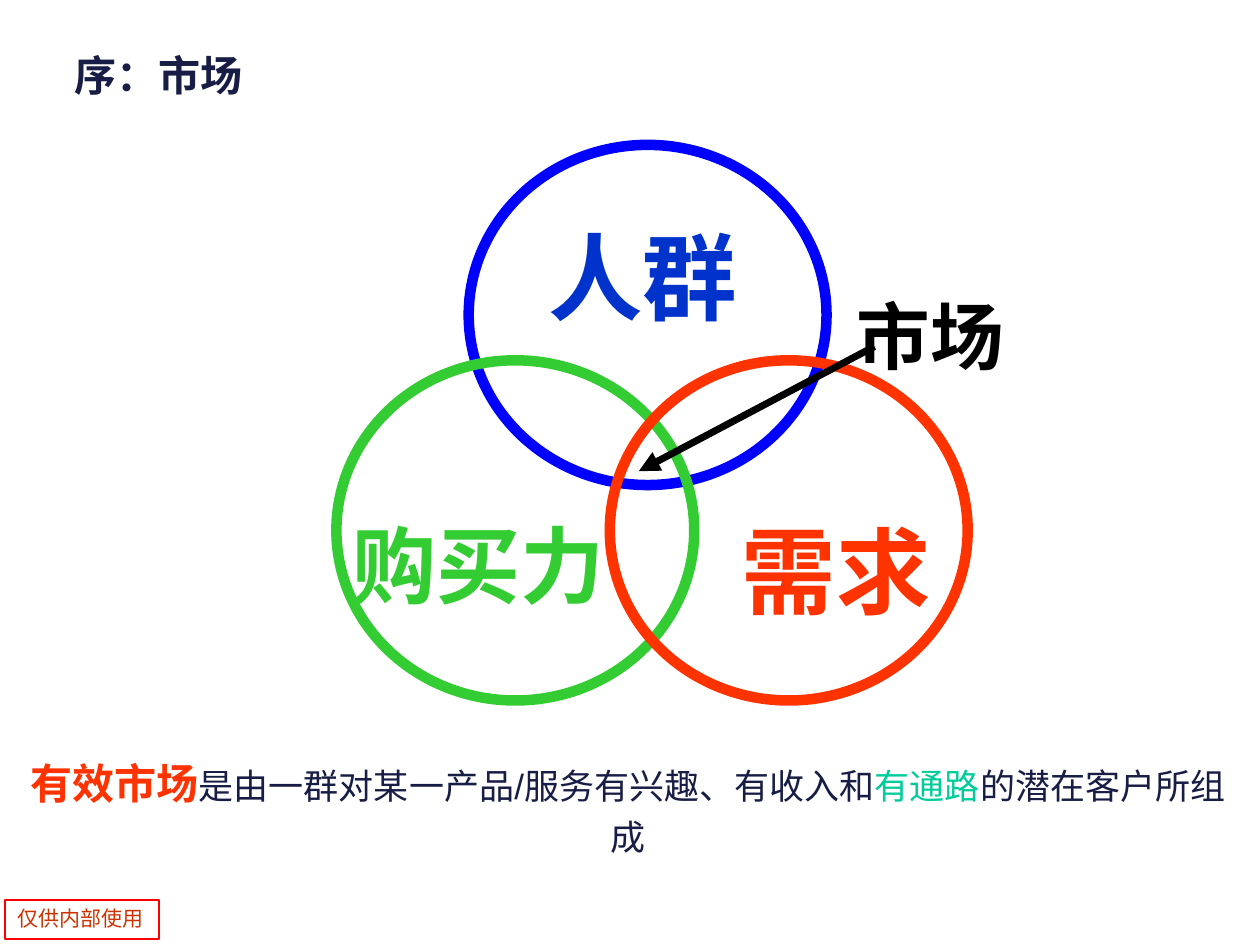
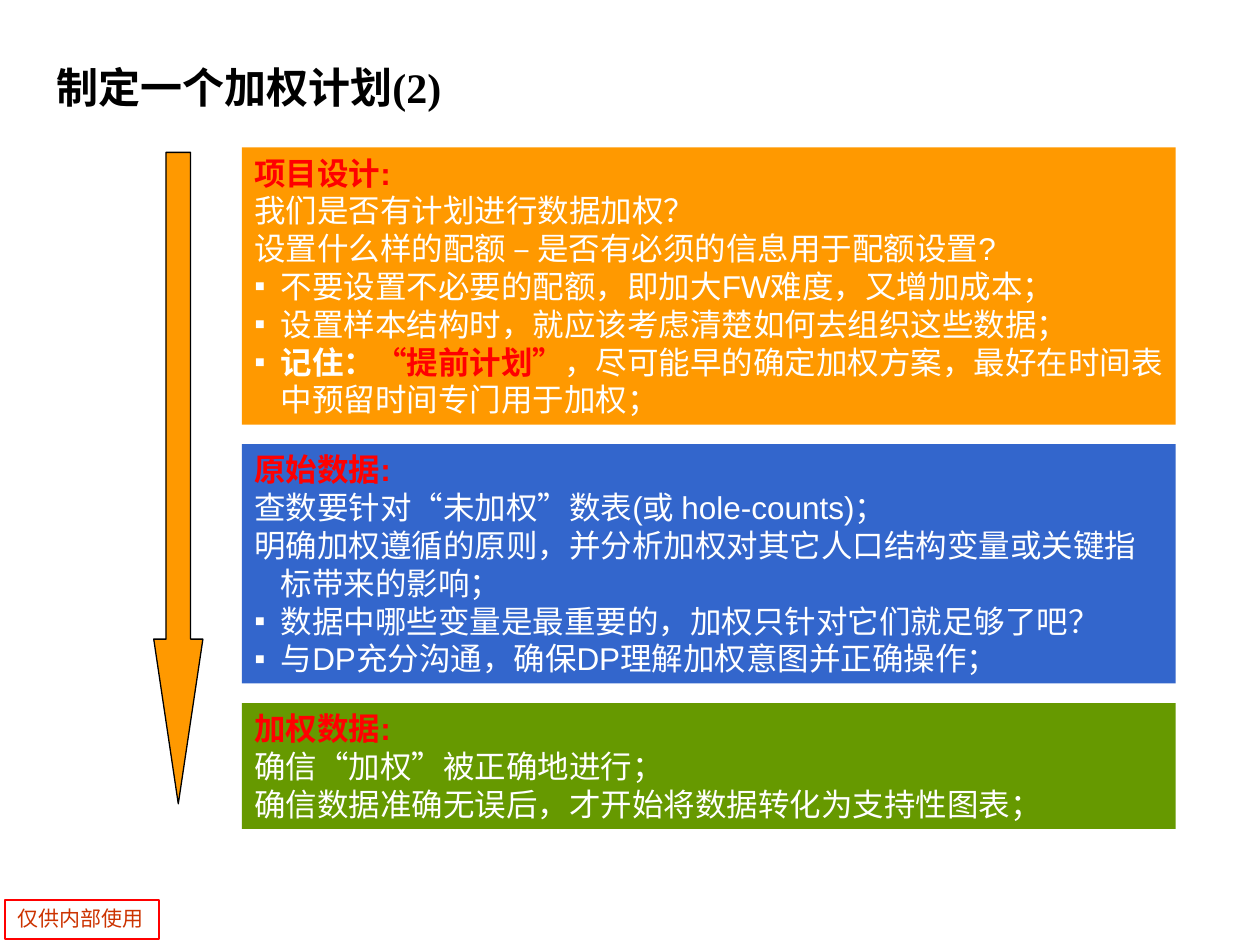
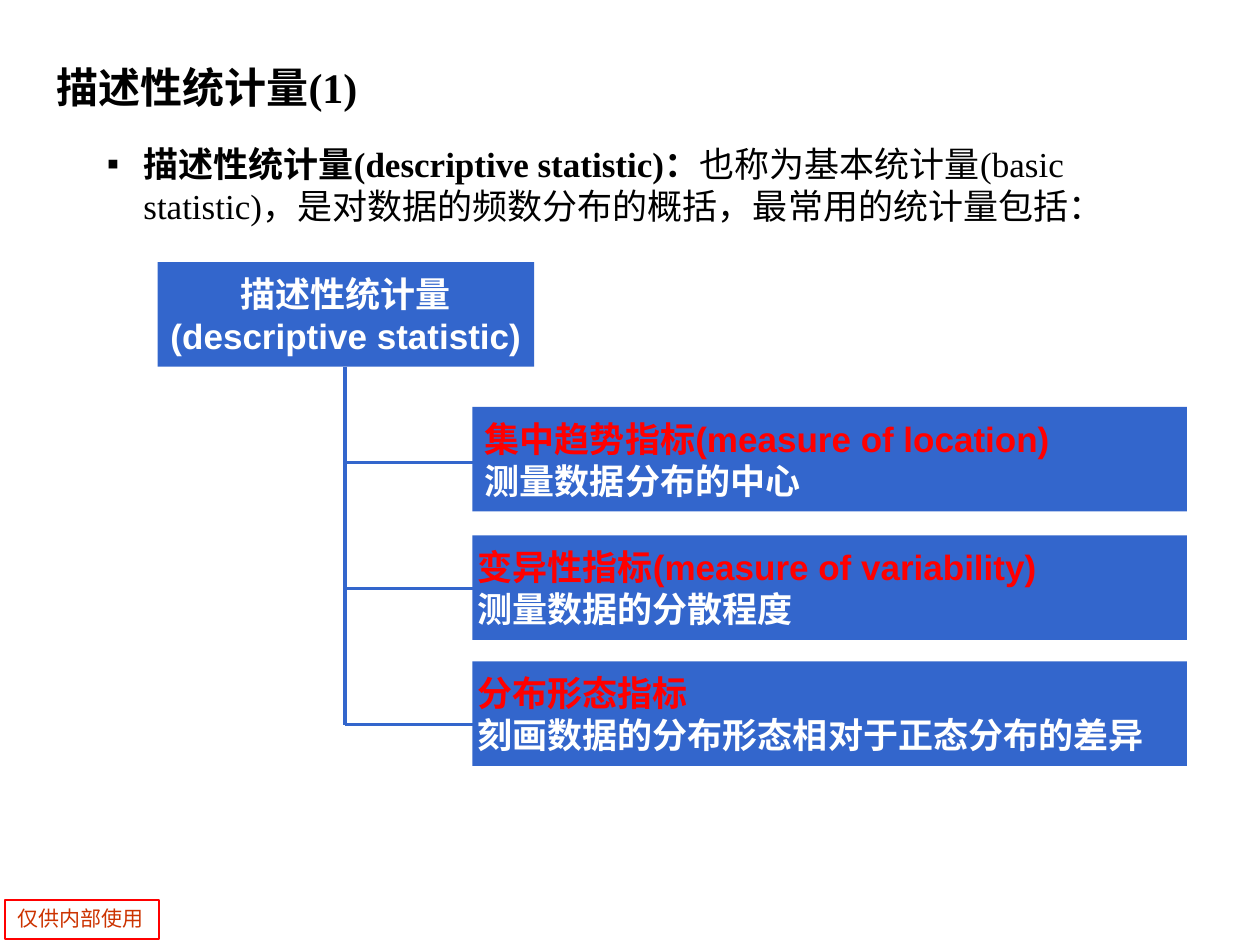
from pptx import Presentation
from pptx.dml.color import RGBColor
from pptx.enum.shapes import MSO_CONNECTOR, MSO_SHAPE
from pptx.enum.text import MSO_ANCHOR, MSO_AUTO_SIZE, PP_ALIGN
from pptx.oxml.ns import qn
from pptx.util import Inches, Pt
from lxml.etree import SubElement

# Slide grid: 100 columns by 75 rows
COLS, ROWS = 100, 75
WIDTH, HEIGHT = Inches(10), Inches(7.5)

BLACK, WHITE, NAVY = "000000", "FFFFFF", "171D45"
RED, VERMILION, BRICK = "FF0000", "FF3300", "CC3300"
BLUE, DEEP_BLUE, STEEL = "0000FF", "0033CC", "3366CC"
GREEN, LEAF, TEAL, ORANGE = "33CC33", "669900", "00CC99", "FF9900"
SANS, SERIF, CJK = "Arial", "Times New Roman", "Noto Sans CJK SC"


def rgb(hex_string):
    return RGBColor.from_string(hex_string)


def col(n):
    return round(WIDTH * n / COLS)


def row(n):
    return round(HEIGHT * n / ROWS)


def place(x, y, w, h):
    return col(x), row(y), col(w), row(h)


def set_attrs(obj, formats):
    for name, value in formats.items():
        setattr(obj, name, value)


def add_paragraph(p, runs, size, font, align=None, spacing=None, hang=0, bullet=False):
    """Fill a paragraph with (text, colour, bold) runs; a run may add its own size."""
    pPr = p._p.get_or_add_pPr()
    if hang:
        pPr.set("marL", str(Inches(hang)))
        pPr.set("indent", str(-Inches(hang)))
    if bullet:
        SubElement(pPr, qn("a:buFont")).set("typeface", SANS)
        SubElement(pPr, qn("a:buChar")).set("char", "▪")
    set_attrs(p, {"alignment": align, "line_spacing": spacing})
    for text, color, bold, *own_size in runs:
        r = p.add_run()
        r.text = text
        set_attrs(r.font, {"size": Pt(own_size[0] if own_size else size),
                           "name": font, "bold": bold})
        r.font.color.rgb = rgb(color)


def fill_text(sp, paragraphs, size, font=SANS, anchor=MSO_ANCHOR.TOP, wrap=True,
              grow=False, side=0.1, **layout):
    """Each paragraph is a list of runs; a leading "▪" makes it a bullet."""
    tf = sp.text_frame
    set_attrs(tf, {"word_wrap": wrap, "vertical_anchor": anchor,
                   "margin_left": Inches(side), "margin_right": Inches(side),
                   "auto_size": MSO_AUTO_SIZE.SHAPE_TO_FIT_TEXT if grow
                   else MSO_AUTO_SIZE.NONE})
    for i, runs in enumerate(paragraphs):
        p = tf.add_paragraph() if i else tf.paragraphs[0]
        bullet = runs[0] == "▪"
        add_paragraph(p, runs[1:] if bullet else runs, size, font, bullet=bullet, **layout)


def add_text(s, box, paragraphs, size, **options):
    fill_text(s.shapes.add_textbox(*place(*box)), paragraphs, size, **options)


def add_shape(s, kind, box, fill=None, line=None, weight=1):
    sp = s.shapes.add_shape(kind, *place(*box))
    sp.shadow.inherit = False
    if fill:
        sp.fill.solid()
        sp.fill.fore_color.rgb = rgb(fill)
    else:
        sp.fill.background()
    if line:
        sp.line.color.rgb = rgb(line)
        sp.line.width = Pt(weight)
    else:
        sp.line.fill.background()
    return sp


def add_line(s, x1, y1, x2, y2, color, weight, arrow=False):
    cx = s.shapes.add_connector(MSO_CONNECTOR.STRAIGHT, col(x1), row(y1), col(x2), row(y2))
    cx.line.color.rgb = rgb(color)
    cx.line.width = Pt(weight)
    if arrow:
        SubElement(cx.line._get_or_add_ln(), qn("a:tailEnd")).set("type", "triangle")
    SubElement(cx._element.spPr, qn("a:effectLst"))


def add_slide(prs):
    s = prs.slides.add_slide(prs.slide_layouts[6])
    # Confidentiality stamp
    stamp = add_shape(s, MSO_SHAPE.RECTANGLE, (0.4, 71.4, 12.2, 3.1), line=RED)
    fill_text(stamp, [[("仅供内部使用", BRICK, False)]], 12, font=CJK, align=PP_ALIGN.LEFT)
    return s


def add_title(s, text):
    add_text(s, (3.5, 2.3, 94.5, 9.2), [[(text, BLACK, True)]], 24, font=SERIF,
             anchor=MSO_ANCHOR.MIDDLE)


# Slide 1: three overlapping circles
def venn(s, x, y):
    circle_w, circle_h = 28.4, 27
    circles = [  # circle offset, ring colour, label, label box, colour, size
        (10.5, 0, BLUE, "人群", (15.7, 3.6, 17.2, 11.8), DEEP_BLUE, 54),
        (0, 17.1, GREEN, "购买力", (-2.2, 27.2, 26.9, 10.6), GREEN, 48),
        (21.7, 17.1, VERMILION, "需求", (26.2, 26.9, 26.9, 11.8), VERMILION, 54),
    ]
    for dx, dy, ring, label, (lx, ly, lw, lh), color, size in circles:
        add_shape(s, MSO_SHAPE.OVAL, (x + dx, y + dy, circle_w, circle_h),
                  line=ring, weight=6)
        add_text(s, (x + lx, y + ly, lw, lh), [[(label, color, True)]], size,
                 align=PP_ALIGN.CENTER, spacing=1.2, grow=True)
    # Pointer to the shared area
    add_text(s, (x + 40.3, y + 11.1, 13.7, 8), [[("市场", BLACK, True)]], 42,
             wrap=False, grow=True, align=PP_ALIGN.CENTER)
    add_line(s, x + 42.7, y + 16, x + 24, y + 25.9, BLACK, 4, arrow=True)


def market_slide(prs):
    s = add_slide(prs)
    venn(s, 26.7, 11.5)
    definition = [("有效市场", VERMILION, True, 24),
                  ("是由一群对某一产品/服务有兴趣、有收入和", NAVY, False),
                  ("有通路", TEAL, False),
                  ("的潜在客户所组成", NAVY, False)]
    add_text(s, (0.1, 58.8, 99.5, 5.8), [definition], 20, grow=True,
             align=PP_ALIGN.CENTER, spacing=1.2)
    add_text(s, (4.9, 3.4, 21.5, 4.9), [[("序：市场", NAVY, True)]], 24, grow=True)


# Slide 2: stacked stages beside an arrow
def stage_stack(s, x, y, w, stages, gap=1.55):
    for fill, height, hang, heading, body in stages:
        sp = add_shape(s, MSO_SHAPE.RECTANGLE, (x, y, w, height), fill=fill)
        fill_text(sp, [[(heading, RED, True)]] + body, 18, anchor=MSO_ANCHOR.MIDDLE,
                  align=PP_ALIGN.LEFT, hang=hang)
        y += height + gap


def plain(text):
    return [(text, WHITE, False)]


def bullet(text):
    return ["▪"] + plain(text)


def plan_slide(prs):
    s = add_slide(prs)
    add_title(s, "制定一个加权计划(2)")
    arrow = add_shape(s, MSO_SHAPE.DOWN_ARROW, (12.2, 12.1, 3.9, 51.7), ORANGE, BLACK, 0.75)
    arrow.adjustments[0], arrow.adjustments[1] = 0.5, 3.35
    stage_stack(s, 19.2, 11.7, 74.1, [
        (ORANGE, 22, 0.21, "项目设计:", [
            plain("我们是否有计划进行数据加权？"),
            plain("设置什么样的配额 – 是否有必须的信息用于配额设置?"),
            bullet("不要设置不必要的配额，即加大FW难度，又增加成本；"),
            bullet("设置样本结构时，就应该考虑清楚如何去组织这些数据；"),
            ["▪", ("记住：", WHITE, True), ("“提前计划”", RED, True),
             ("，尽可能早的确定加权方案，最好在时间表中预留时间专门用于加权；", WHITE, False)],
        ]),
        (STEEL, 19, 0.21, "原始数据:", [
            plain("查数要针对“未加权”数表(或 hole-counts)；"),
            plain("明确加权遵循的原则，并分析加权对其它人口结构变量或关键指标带来的影响；"),
            bullet("数据中哪些变量是最重要的，加权只针对它们就足够了吧？"),
            bullet("与DP充分沟通，确保DP理解加权意图并正确操作；"),
        ]),
        (LEAF, 10, 0, "加权数据:", [
            plain("确信“加权”被正确地进行；"),
            plain("确信数据准确无误后，才开始将数据转化为支持性图表；"),
        ]),
    ])


# Slide 3: tree of statistics
def statistics_tree(s, x, y):
    box_h, trunk, branch_x = 8.3, x + 14.9, x + 25
    root = add_shape(s, MSO_SHAPE.RECTANGLE, (x, y, 29.9, box_h), fill=STEEL)
    fill_text(root, [[("描述性统计量", WHITE, True)],
                     [("(descriptive statistic)", WHITE, True)]], 20,
              anchor=MSO_ANCHOR.MIDDLE, align=PP_ALIGN.CENTER)
    branches = [  # box top, line height, side margin, heading, meaning
        (11.5, 15.9, 0.1, "集中趋势指标(measure of location)", "测量数据分布的中心"),
        (21.7, 25.9, 0.04, "变异性指标(measure of variability)", "测量数据的分散程度"),
        (31.7, 36.7, 0.04, "分布形态指标", "刻画数据的分布形态相对于正态分布的差异"),
    ]
    add_line(s, trunk, y + box_h, trunk, y + branches[-1][1], STEEL, 2)
    for top, line_y, side, heading, meaning in branches:
        sp = add_shape(s, MSO_SHAPE.RECTANGLE, (branch_x, y + top, 56.7, box_h), fill=STEEL)
        fill_text(sp, [[(heading, RED, True)], [(meaning, WHITE, True)]], 20,
                  anchor=MSO_ANCHOR.MIDDLE, side=side, align=PP_ALIGN.LEFT, hang=0.21)
        add_line(s, trunk, y + line_y, branch_x, y + line_y, STEEL, 2)


def statistics_slide(prs):
    s = add_slide(prs)
    add_title(s, "描述性统计量(1)")
    intro = ["▪", ("描述性统计量(descriptive statistic)：", BLACK, True),
             ("也称为基本统计量(basic statistic)，是对数据的频数分布的概括，"
              "最常用的统计量包括：", BLACK, False)]
    add_text(s, (7.5, 10.8, 85, 8.3), [intro], 20, font=SERIF, hang=0.29)
    statistics_tree(s, 12.5, 20.8)


def main():
    prs = Presentation()
    prs.slide_width, prs.slide_height = WIDTH, HEIGHT
    for build in (market_slide, plan_slide, statistics_slide):
        build(prs)
    prs.save("out.pptx")


if __name__ == "__main__":
    main()
